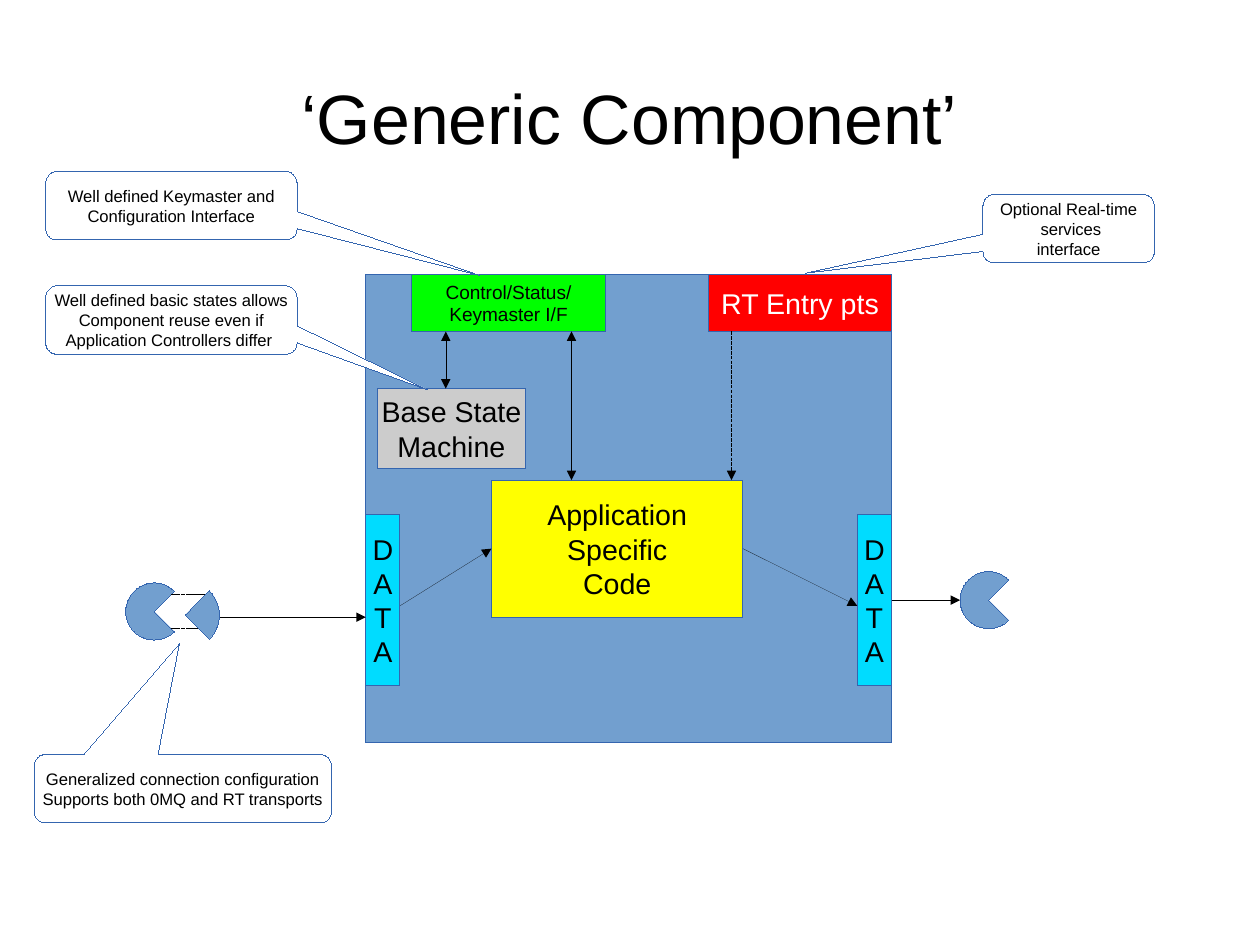
from dataclasses import dataclass

from lxml import etree
from pptx import Presentation
from pptx.dml.color import RGBColor
from pptx.enum.dml import MSO_LINE
from pptx.enum.shapes import MSO_CONNECTOR, MSO_SHAPE
from pptx.enum.text import MSO_ANCHOR, PP_ALIGN
from pptx.oxml.ns import qn
from pptx.util import Cm, Inches, Pt

RECTANGLE = MSO_SHAPE.RECTANGLE
CALLOUT = MSO_SHAPE.ROUNDED_RECTANGULAR_CALLOUT
PIE = MSO_SHAPE.PIE
STRAIGHT = MSO_CONNECTOR.STRAIGHT
DASHED = MSO_LINE.SQUARE_DOT
MIDDLE = MSO_ANCHOR.MIDDLE
CENTER = PP_ALIGN.CENTER

CELL = 0.1
ANGLE_UNIT = 0.6


@dataclass(frozen=True)
class Theme:
    font: str = "Arial"
    title_size: float = 44
    block_size: float = 18
    interface_size: float = 12
    note_size: float = 10.5
    hairline: float = 0.01
    black: str = "000000"
    white: str = "FFFFFF"
    outline: str = "3465AF"
    component: str = "729FCF"
    data: str = "00DCFF"
    realtime: str = "FF0000"
    control: str = "00FF00"
    state: str = "CCCCCC"
    application: str = "FFFF00"


THEME = Theme()


def grid(*cells):
    return [Inches(round(cell * CELL, 3)) for cell in cells]


def color(value):
    return RGBColor.from_string(value)


def write_lines(shape, lines, size, text_color=THEME.black, margins=(1, 0.5), wrap=False):
    frame = shape.text_frame
    frame.word_wrap = wrap
    frame.vertical_anchor = MIDDLE
    frame.margin_left = frame.margin_right = grid(margins[0])[0]
    frame.margin_top = frame.margin_bottom = grid(margins[1])[0]
    for index, line in enumerate(lines):
        paragraph = frame.add_paragraph() if index else frame.paragraphs[0]
        paragraph.alignment = CENTER
        run = paragraph.add_run()
        run.text = line
        run.font.name = THEME.font
        run.font.size = Pt(size)
        run.font.color.rgb = color(text_color)


def add_title(slide, box, text):
    title = slide.shapes.add_textbox(*grid(*box))
    write_lines(title, [text], THEME.title_size, margins=(0, 0), wrap=True)


def add_outlined(slide, kind, box, fill):
    shape = slide.shapes.add_shape(kind, *grid(*box))
    shape.shadow.inherit = False
    shape.fill.solid()
    shape.fill.fore_color.rgb = color(fill)
    shape.line.color.rgb = color(THEME.outline)
    shape.line.width = Pt(THEME.hairline)
    return shape


def add_block(slide, box, fill, lines, size=THEME.block_size, text_color=THEME.black):
    block = add_outlined(slide, RECTANGLE, box, fill)
    write_lines(block, lines, size, text_color)


def add_callout(slide, box, tip, lines):
    left, top, width, height = box
    callout = add_outlined(slide, CALLOUT, box, THEME.white)
    callout.adjustments[0] = (tip[0] - left) / width - 0.5
    callout.adjustments[1] = (tip[1] - top) / height - 0.5
    write_lines(callout, lines, THEME.note_size)


def add_sector(slide, center, radius, start, end):
    box = (center[0] - radius, center[1] - radius, 2 * radius, 2 * radius)
    sector = add_outlined(slide, PIE, box, THEME.component)
    sector.adjustments[0] = start * ANGLE_UNIT
    sector.adjustments[1] = end * ANGLE_UNIT


def add_link(slide, start, end, arrows=("tailEnd",), dashed=False):
    link = slide.shapes.add_connector(STRAIGHT, *grid(*start, *end))
    link.line.color.rgb = color(THEME.black)
    link.line.width = Pt(THEME.hairline)
    if dashed:
        link.line.dash_style = DASHED
    properties = link._element.spPr
    outline = properties.find(qn("a:ln"))
    for arrow in arrows:
        etree.SubElement(outline, qn(f"a:{arrow}"), type="triangle")
    etree.SubElement(properties, qn("a:effectLst"))


def add_component(slide):
    add_outlined(slide, RECTANGLE, (32, 24, 46, 41), THEME.component)
    for left in (32, 75):
        add_block(slide, (left, 45, 3, 15), THEME.data, "DATA")
    add_block(slide, (62, 24, 16, 5), THEME.realtime, ["RT Entry pts"],
              text_color=THEME.white)
    add_block(slide, (36, 24, 17, 5), THEME.control,
              ["Control/Status/", "Keymaster I/F"], THEME.interface_size)
    add_block(slide, (33, 34, 13, 7), THEME.state, ["Base State", "Machine"])
    add_block(slide, (43, 42, 22, 12), THEME.application,
              ["Application", "Specific", "Code"])


def add_flows(slide):
    both_ends = ("headEnd", "tailEnd")
    add_link(slide, (39, 34), (39, 29), both_ends)
    add_link(slide, (50, 29), (50, 42), both_ends)
    add_link(slide, (64, 29), (64, 42), dashed=True)
    add_link(slide, (35, 53), (43, 48))
    add_link(slide, (65, 48), (75, 53))
    add_link(slide, (78, 52.5), (84, 52.5))
    add_link(slide, (19, 54), (32, 54))


def add_transports(slide):
    for center in ((86.5, 52.5), (13.5, 53.5)):
        add_sector(slide, center, 2.5, 45, 315)
    for row in (52, 55):
        add_link(slide, (15, row), (18, row), arrows=(), dashed=True)
    add_sector(slide, (16.2, 53.8), 3, 315, 45)


def add_notes(slide):
    add_callout(slide, (3, 66, 26, 6), (15.7, 56.3),
                ["Generalized connection configuration",
                 "Supports both 0MQ and RT transports"])
    add_callout(slide, (4, 15, 22, 6), (42, 24.1),
                ["Well defined Keymaster and", "Configuration Interface"])
    add_callout(slide, (4, 25, 22, 6), (37.4, 34.1),
                ["Well defined basic states allows", "Component reuse even if",
                 "Application Controllers differ "])
    add_callout(slide, (86, 17, 15, 6), (70.5, 23.9),
                ["Optional Real-time", " services", "interface"])


def main():
    presentation = Presentation()
    presentation.slide_width = Cm(28)
    presentation.slide_height = Cm(21)
    slide = presentation.slides.add_slide(presentation.slide_layouts[6])
    add_title(slide, (5.5, 3.3, 99.2, 13.8), "‘Generic Component’")
    add_component(slide)
    add_flows(slide)
    add_transports(slide)
    add_notes(slide)
    presentation.save("out.pptx")


if __name__ == "__main__":
    main()
